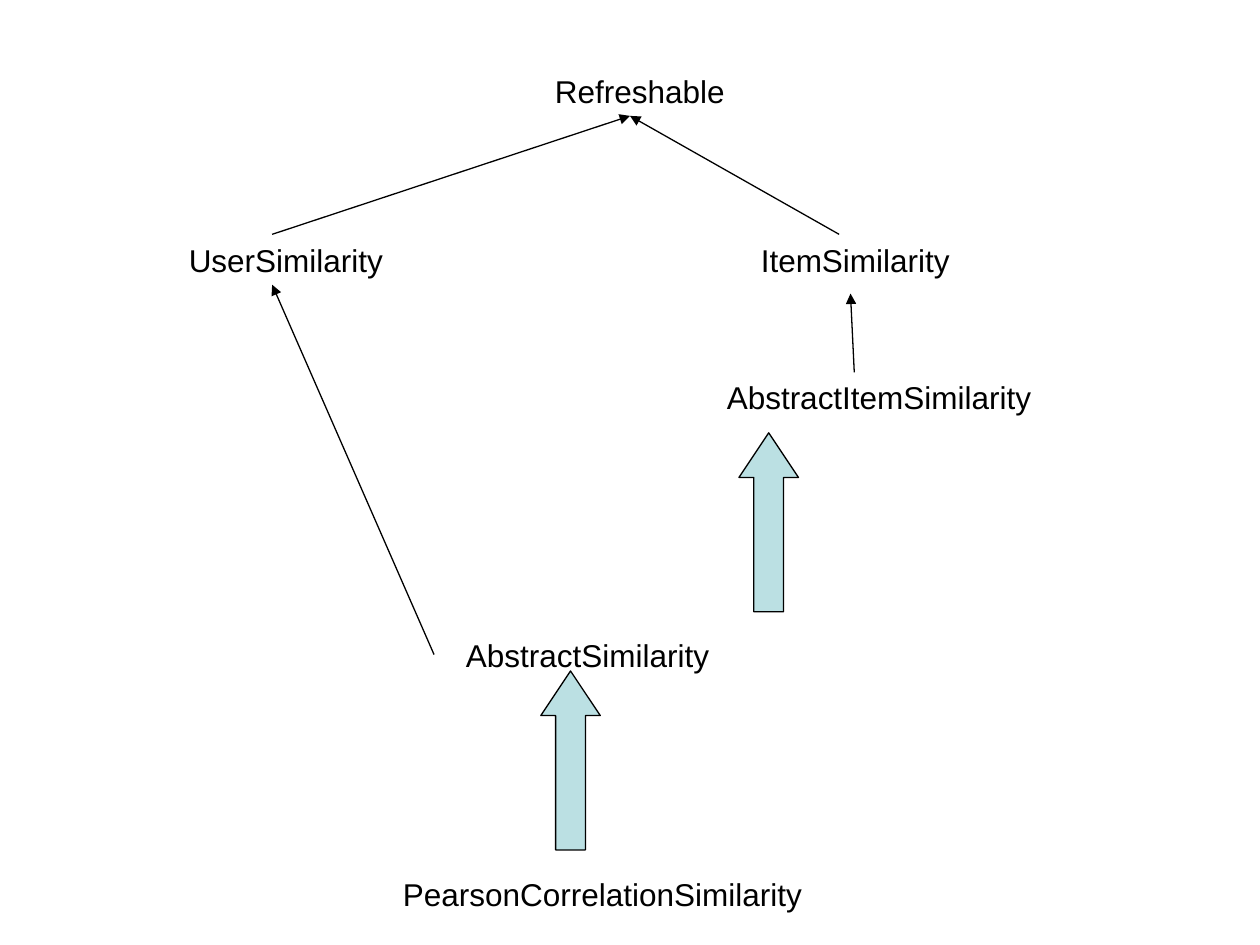
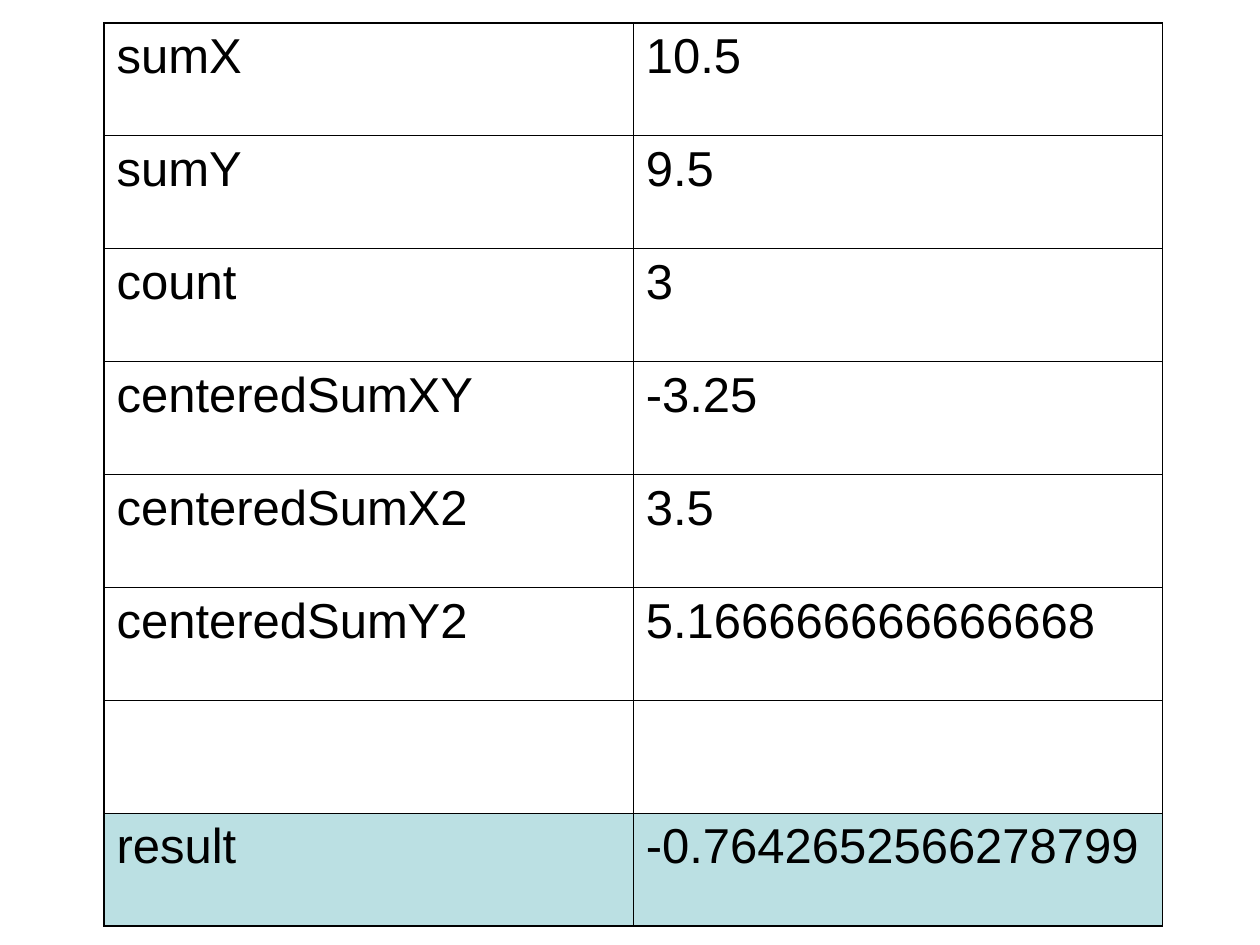
from dataclasses import dataclass

from lxml import etree
from pptx import Presentation
from pptx.dml.color import RGBColor
from pptx.enum.shapes import MSO_CONNECTOR, MSO_SHAPE
from pptx.enum.text import MSO_ANCHOR, MSO_AUTO_SIZE, PP_ALIGN
from pptx.oxml.ns import qn
from pptx.util import Inches, Pt

STRAIGHT = MSO_CONNECTOR.STRAIGHT
UP_ARROW = MSO_SHAPE.UP_ARROW
LEFT, TOP = PP_ALIGN.LEFT, MSO_ANCHOR.TOP
GROW = MSO_AUTO_SIZE.SHAPE_TO_FIT_TEXT


@dataclass(frozen=True)
class Theme:
    font: str = "Arial"
    ink: str = "000000"
    accent: str = "BBE0E3"
    label_size: float = 18
    table_size: float = 28
    space_before: float = 7
    line: float = 0.75
    inner_border: float = 0.45
    outer_border: float = 1.08


THEME = Theme()
INK = RGBColor.from_string(THEME.ink)
ACCENT = RGBColor.from_string(THEME.accent)

deck = Presentation()
deck.slide_width, deck.slide_height = Inches(10), Inches(7.5)
BLANK = deck.slide_layouts[6]

# The slide is a grid of 100 columns by 75 rows with square units
UNIT = deck.slide_width / 100


def units(*counts):
    return [round(count * UNIT) for count in counts]


def write(frame, text, size=THEME.label_size, before=0, wrap=True):
    frame.word_wrap = wrap
    para = frame.paragraphs[0]
    para.alignment = LEFT
    para.space_before = Pt(before)
    if text:
        span = para.add_run()
        span.text = text
        span.font.name = THEME.font
        span.font.size = Pt(size)
        span.font.color.rgb = INK


# Slide 1: similarity class hierarchy
page = deck.slides.add_slide(BLANK)
LABEL_HEIGHT = 4
class_labels = [
    ("Refreshable", 43.05, 5.2, 15.5),
    ("UserSimilarity", 14, 18.65, 17.4),
    ("ItemSimilarity", 59.4, 18.65, 17),
    ("AbstractSimilarity", 36, 49.95, 21.3),
    ("AbstractItemSimilarity", 56.7, 29.55, 26.3),
    ("PearsonCorrelationSimilarity", 31, 68.95, 33.7),
]
for name, left, top, width in class_labels:
    box = page.shapes.add_textbox(*units(left, top, width, LABEL_HEIGHT))
    box.text_frame.auto_size = GROW
    write(box.text_frame, name, wrap=False)

# Thin arrows: from each type to the interface it extends
refreshable = (50, 9.2)
extends = [
    ((21.6, 18.6), refreshable),
    ((66.6, 18.6), refreshable),
    ((67.8, 29.55), (67.5, 23.3)),
    ((34.45, 51.95), (21.6, 22.6)),
]
for start, end in extends:
    arrow = page.shapes.add_connector(STRAIGHT, *units(*start, *end))
    arrow.line.color.rgb = INK
    arrow.line.width = Pt(THEME.line)
    properties = arrow._element.spPr
    etree.SubElement(properties.find(qn("a:ln")), qn("a:tailEnd"), type="triangle")
    etree.SubElement(properties, qn("a:effectLst"))

# Block arrows
for left, top in [(58.65, 34.35), (42.92, 53.25)]:
    block = page.shapes.add_shape(UP_ARROW, *units(left, top, 4.72, 14.2))
    block.adjustments[0], block.adjustments[1] = 0.5, 0.75
    block.shadow.inherit = False
    block.fill.solid()
    block.fill.fore_color.rgb = ACCENT
    block.line.color.rgb = INK
    block.line.width = Pt(THEME.line)

# Slide 2: values of the correlation
page = deck.slides.add_slide(BLANK)
values = [
    ("sumX", "10.5"),
    ("sumY", "9.5"),
    ("count", "3"),
    ("centeredSumXY", "-3.25"),
    ("centeredSumX2", "3.5"),
    ("centeredSumY2", "5.166666666666668"),
    ("", ""),
    ("result", "-0.7642652566278799"),
]
last_row, last_column = len(values) - 1, 1
table = page.shapes.add_table(len(values), 2, *units(8.26, 1.82, 84, 71.7)).table
table.first_row = table.horz_banding = False

for row, texts in enumerate(values):
    for column, text in enumerate(texts):
        cell = table.cell(row, column)
        cell.vertical_anchor = TOP
        write(cell.text_frame, text, size=THEME.table_size, before=THEME.space_before)

        # Borders: heavier around the outside
        cell_properties = cell._tc.get_or_add_tcPr()
        outside = {
            "a:lnL": column == 0,
            "a:lnR": column == last_column,
            "a:lnT": row == 0,
            "a:lnB": row == last_row,
        }
        for side, is_outer in outside.items():
            width = THEME.outer_border if is_outer else THEME.inner_border
            border = etree.SubElement(cell_properties, qn(side), w=str(Pt(width)))
            paint = etree.SubElement(border, qn("a:solidFill"))
            etree.SubElement(paint, qn("a:srgbClr"), val=THEME.ink)

        # Only the result row is tinted
        if row == last_row:
            cell.fill.solid()
            cell.fill.fore_color.rgb = ACCENT
        else:
            cell.fill.background()

deck.save("out.pptx")
